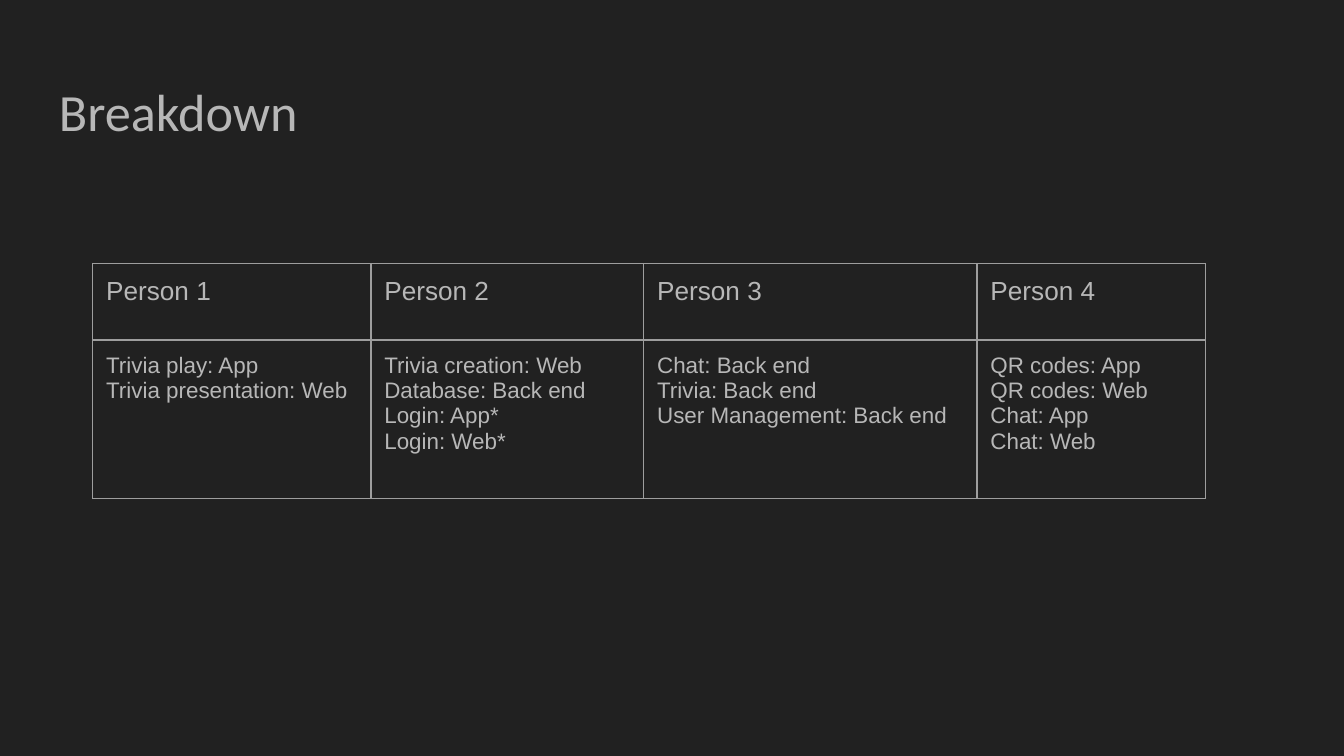
from lxml.etree import SubElement
from pptx import Presentation
from pptx.dml.color import RGBColor
from pptx.enum.text import MSO_ANCHOR
from pptx.oxml.ns import qn
from pptx.util import Inches, Pt

# Content: each person has paragraphs, each a list of lines
TITLE = "Breakdown"
TASKS = {
    "Person 1": [["Trivia play: App", "Trivia presentation: Web"]],
    "Person 2": [["Trivia creation: Web", "Database: Back end"],
                 ["Login: App*", "Login: Web*"]],
    "Person 3": [["Chat: Back end", "Trivia: Back end",
                  "User Management: Back end"]],
    "Person 4": [["QR codes: App", "QR codes: Web", "Chat: App", "Chat: Web"]],
}

# Layout, in inches
SLIDE_W = 10
SLIDE_H = SLIDE_W * 9 / 16
MARGIN = 0.34
TABLE_LEFT, TABLE_TOP = 0.69, 1.96
COLUMN_WIDTHS = [2.07, 2.03, 2.48, 1.7]
ROW_HEIGHTS = [0.57, 1.18]
INSET = Inches(0.1)

BACKGROUND = RGBColor(0x21, 0x21, 0x21)
TEXT = RGBColor(0xB7, 0xB7, 0xB7)
BORDER = RGBColor(0x9E, 0x9E, 0x9E)


def write_paragraphs(frame, paragraphs, size, font):
    for index, lines in enumerate(paragraphs):
        paragraph = frame.paragraphs[0] if index == 0 else frame.add_paragraph()
        for number, line in enumerate(lines):
            if number:
                paragraph.add_line_break()
            run = paragraph.add_run()
            run.text = line
            run.font.size = Pt(size)
            run.font.name = font
            run.font.color.rgb = TEXT


def set_insets(holder):
    holder.margin_left = holder.margin_right = INSET
    holder.margin_top = holder.margin_bottom = INSET


def add_borders(cell):
    """Draw all four sides; called before the fill, which must follow them."""
    properties = cell._tc.get_or_add_tcPr()
    for side in ("a:lnL", "a:lnR", "a:lnT", "a:lnB"):
        line = SubElement(properties, qn(side), w=str(Pt(0.75)))
        fill = SubElement(line, qn("a:solidFill"))
        SubElement(fill, qn("a:srgbClr"), val=str(BORDER))


presentation = Presentation()
presentation.slide_width = Inches(SLIDE_W)
presentation.slide_height = Inches(SLIDE_H)
slide = presentation.slides.add_slide(presentation.slide_layouts[6])
slide.background.fill.solid()
slide.background.fill.fore_color.rgb = BACKGROUND

# Title
title = slide.shapes.add_textbox(
    Inches(MARGIN), Inches(0.49), Inches(SLIDE_W - 2 * MARGIN), Inches(0.63)
).text_frame
title.word_wrap = True
title.vertical_anchor = MSO_ANCHOR.TOP
set_insets(title)
write_paragraphs(title, [[TITLE]], 28, "Calibri")

# Table: one column per person, tasks below the name
table = slide.shapes.add_table(
    len(ROW_HEIGHTS), len(TASKS), Inches(TABLE_LEFT), Inches(TABLE_TOP),
    Inches(sum(COLUMN_WIDTHS)), Inches(sum(ROW_HEIGHTS))
).table
table.first_row = table.horz_banding = False
for column, width in zip(table.columns, COLUMN_WIDTHS):
    column.width = Inches(width)
for row, height in zip(table.rows, ROW_HEIGHTS):
    row.height = Inches(height)

for column, (person, tasks) in enumerate(TASKS.items()):
    for row, (paragraphs, size) in enumerate([([[person]], 14), (tasks, 12)]):
        cell = table.cell(row, column)
        set_insets(cell)
        add_borders(cell)
        cell.fill.background()
        write_paragraphs(cell.text_frame, paragraphs, size, "Arial")

presentation.save("out.pptx")
